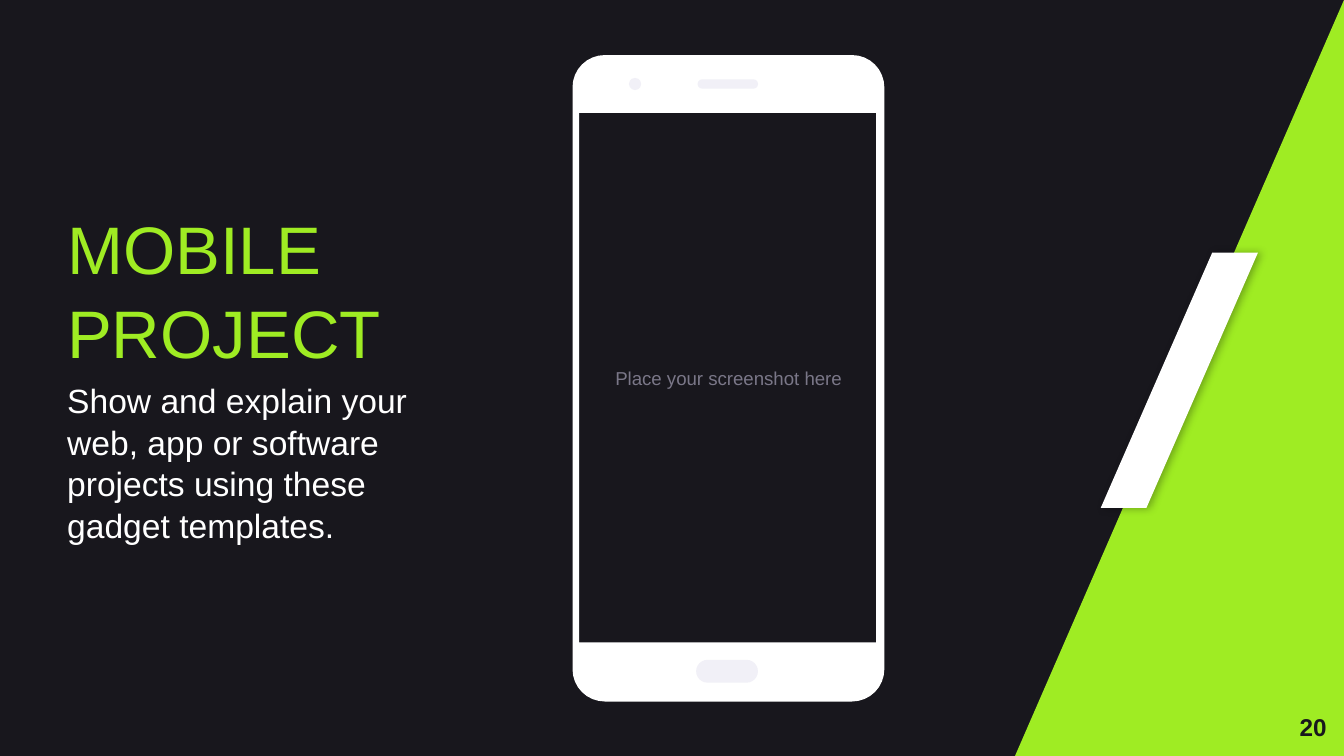
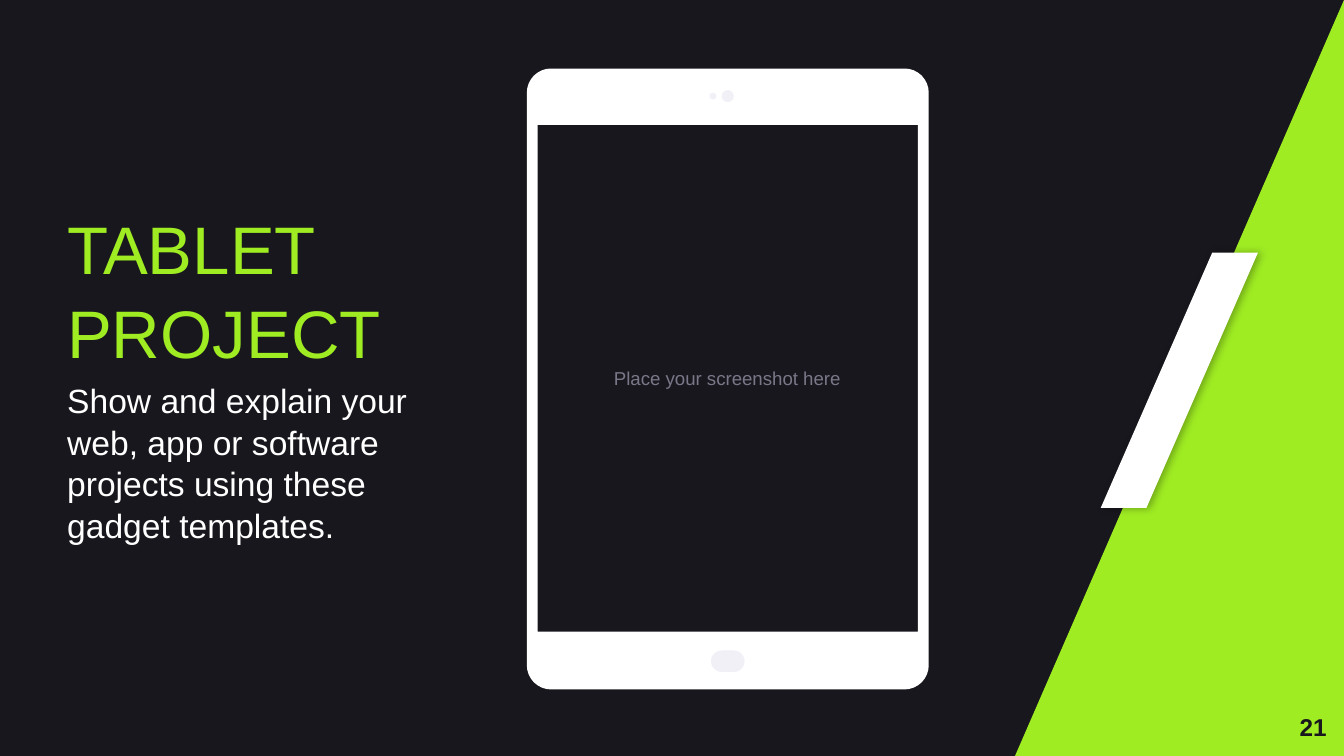
from dataclasses import dataclass
from math import cos, pi, sin

from lxml import etree
from pptx import Presentation
from pptx import util as u
from pptx.dml import color
from pptx.enum import shapes, text
from pptx.oxml import ns

KIND = shapes.MSO_SHAPE
ALIGN = text.PP_ALIGN
ANCHOR = text.MSO_ANCHOR


@dataclass(frozen=True)
class Theme:
    dark: str = "18171D"
    lime: str = "9FEC23"
    white: str = "FFFFFF"
    pale: str = "F1F0F7"
    gray: str = "7A7788"
    font: str = "Arial"
    head: int = 36
    body: int = 18
    page: int = 13
    hint: int = 10
    lead: float = 1.04


def rounded(box, radius):
    left, top, width, height = box
    right, low = left + width - radius, top + height - radius
    left, top = left + radius, top + radius
    hubs = [(right, low), (left, low), (left, top), (right, top)]
    steps = 8
    return [
        (x + radius * cos(turn), y + radius * sin(turn))
        for i, (x, y) in enumerate(hubs)
        for turn in [(i + j / steps) * pi / 2 for j in range(steps + 1)]
    ]


def corners(box):
    left, top, width, height = box
    return [(left, top), (left, top + height),
            (left + width, top + height), (left + width, top)]


class Deck:
    def __init__(self, theme):
        self.theme = theme
        self.show = Presentation()
        self.show.slide_width = u.Inches(10)
        self.show.slide_height = u.Inches(10) * 9 // 16
        self.plan = self.show.slide_layouts[1]
        self.slide = None
        fill = self.plan.background.fill
        fill.solid()
        fill.fore_color.rgb = color.RGBColor.from_string(theme.dark)

    def add(self):
        self.slide = self.show.slides.add_slide(self.plan)

    def paint(self, shape, tone):
        shape.shadow.inherit = False
        shape.fill.solid()
        shape.fill.fore_color.rgb = color.RGBColor.from_string(tone)
        shape.line.fill.background()
        return shape

    def outline(self, tone, *loops):
        loops = [[(u.Inches(x), u.Inches(y)) for x, y in loop] for loop in loops]
        pen = self.slide.shapes.build_freeform(*loops[0][0])
        pen.add_line_segments(loops[0][1:])
        for loop in loops[1:]:
            pen.move_to(*loop[0])
            pen.add_line_segments(loop[1:])
        return self.paint(pen.convert_to_shape(), tone)

    def mark(self, kind, box):
        shape = self.slide.shapes.add_shape(kind, *map(u.Inches, box))
        if kind == KIND.ROUNDED_RECTANGLE:
            shape.adjustments[0] = 0.5
        self.paint(shape, self.theme.pale)

    def shade(self, shape):
        glow = shape._element.spPr.find(ns.qn("a:effectLst"))
        cast = etree.SubElement(glow, ns.qn("a:outerShdw"), blurRad=str(u.Pt(4.5)),
                                dist=str(u.Pt(1.5)), dir="0", algn="bl", rotWithShape="0")
        tone = etree.SubElement(cast, ns.qn("a:srgbClr"), val="000000")
        etree.SubElement(tone, ns.qn("a:alpha"), val="30000")

    def share(self, *items):
        for item in items:
            self.plan.shapes._spTree.append(item._element)

    def fill_in(self, shape, words, size, tone, align, anchor, inset=0, bold=False):
        frame = shape.text_frame
        frame.word_wrap = True
        frame.auto_size = text.MSO_AUTO_SIZE.NONE
        frame.vertical_anchor = anchor
        frame.margin_left = frame.margin_right = u.Inches(inset)
        frame.margin_top = frame.margin_bottom = u.Inches(inset)
        frame.text = words
        para = frame.paragraphs[0]
        para.alignment = align
        font = para.font
        font.name, font.size, font.bold = self.theme.font, u.Pt(size), bold
        font.color.rgb = color.RGBColor.from_string(tone)
        return para

    def label(self, box, words, *look, **more):
        shape = self.slide.shapes.add_textbox(*map(u.Inches, box))
        self.fill_in(shape, words, *look, **more)

    def holder(self, index, box, words, size, tone):
        shape = self.slide.placeholders[index]
        shape.left, shape.top, shape.width, shape.height = map(u.Inches, box)
        para = self.fill_in(shape, words, size, tone, ALIGN.LEFT, ANCHOR.BOTTOM)
        para.line_spacing = self.theme.lead
        para.space_before = u.Pt(0)
        props = para._p.get_or_add_pPr()
        props.set("marL", "0")
        props.set("indent", "0")
        etree.SubElement(props, ns.qn("a:buNone"))
        props.append(props.find(ns.qn("a:defRPr")))

    def bands(self):
        wedge = self.outline(self.theme.lime, [(7.55, 5.63), (10, 0), (10, 5.63)])
        slash = self.outline(self.theme.white,
                             [(9.02, 1.88), (8.19, 3.78), (8.53, 3.78), (9.36, 1.88)])
        self.shade(slash)
        self.share(wedge, slash)

    def page(self, number):
        self.label((9.27, 5.19, 0.6, 0.43), str(number), self.theme.page,
                   self.theme.dark, ALIGN.RIGHT, ANCHOR.MIDDLE, bold=True)

    def device(self, case, radius, screen, hint, marks):
        self.label(hint, "Place your screenshot here", self.theme.hint,
                   self.theme.gray, ALIGN.CENTER, ANCHOR.MIDDLE, inset=0.1)
        self.outline(self.theme.white, corners(screen), rounded(case, radius))
        for kind, box in marks:
            self.mark(kind, box)


PILL, DOT = KIND.ROUNDED_RECTANGLE, KIND.OVAL
NOTE = "Show and explain your web, app or software projects using these gadget templates."
PAGES = [
    ("MOBILE PROJECT", dict(
        case=(4.26, 0.41, 2.32, 4.81), radius=0.24,
        screen=(4.31, 0.84, 2.21, 3.94), hint=(4.32, 0.86, 2.2, 3.91),
        marks=[(PILL, (5.18, 4.91, 0.46, 0.17)), (DOT, (4.68, 0.58, 0.09, 0.09)),
               (PILL, (5.19, 0.59, 0.45, 0.07))])),
    ("TABLET PROJECT", dict(
        case=(3.92, 0.51, 2.99, 4.62), radius=0.18,
        screen=(4, 0.93, 2.83, 3.77), hint=(3.99, 0.93, 2.84, 3.76),
        marks=[(PILL, (5.29, 4.84, 0.25, 0.16)), (DOT, (5.28, 0.69, 0.05, 0.05)),
               (DOT, (5.37, 0.67, 0.09, 0.09))])),
]


def main():
    theme = Theme()
    deck = Deck(theme)
    for number, (title, parts) in enumerate(PAGES, 20):
        deck.add()
        if number == 20:
            deck.bands()
        deck.holder(0, (0.5, 1.57, 2.78, 1.2), title, theme.head, theme.lime)
        deck.holder(1, (0.5, 2.81, 2.78, 1.25), NOTE, theme.body, theme.white)
        deck.page(number)
        deck.device(**parts)
    deck.show.save("out.pptx")


if __name__ == "__main__":
    main()
